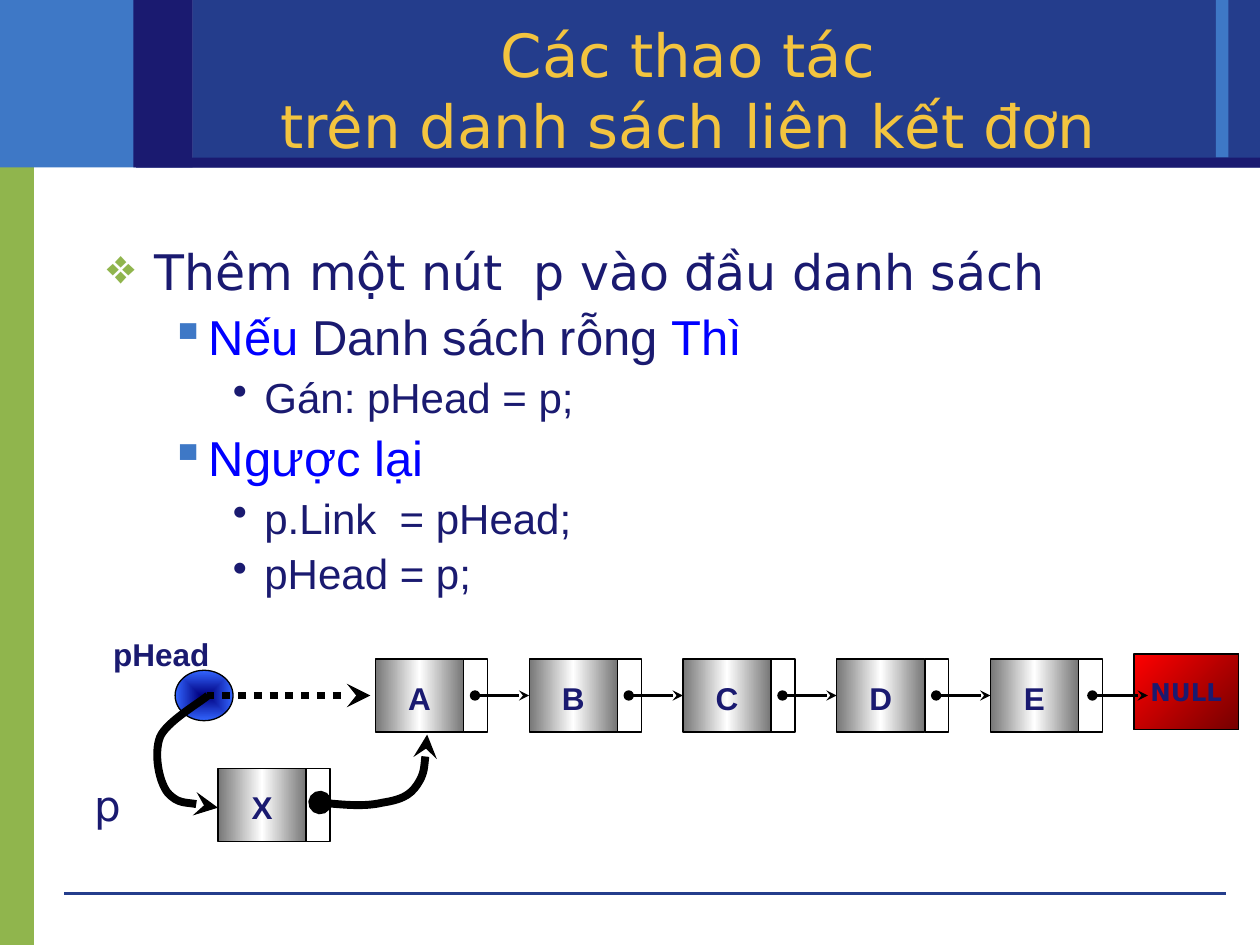
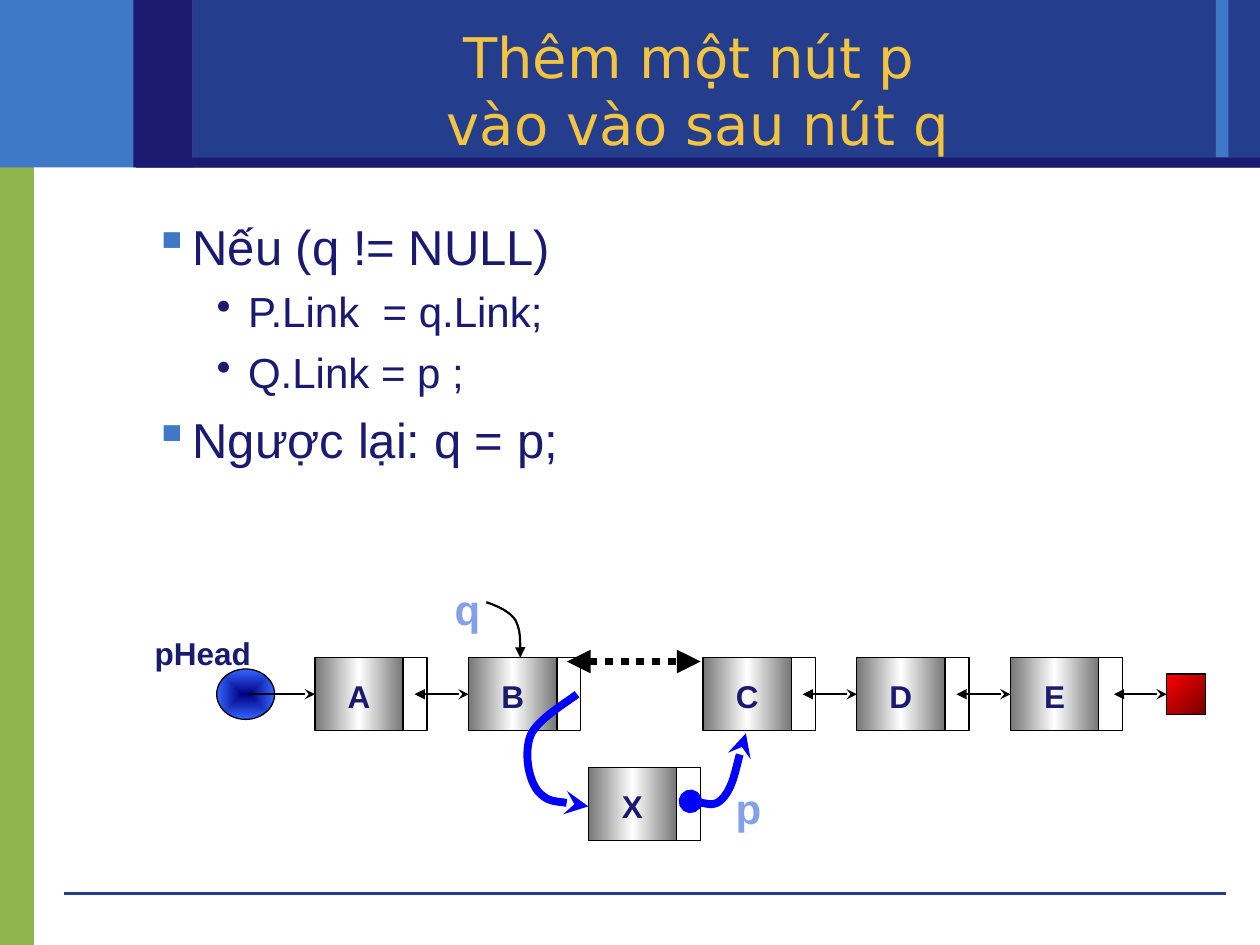
"""Build two slides on inserting a node into a singly linked list."""
from dataclasses import dataclass
from typing import NamedTuple, Optional

from lxml import etree
from pptx import Presentation
from pptx.dml.color import RGBColor
from pptx.enum.dml import MSO_LINE
from pptx.enum.shapes import MSO_CONNECTOR, MSO_SHAPE
from pptx.enum.text import MSO_ANCHOR, PP_ALIGN
from pptx.oxml import parse_xml
from pptx.oxml.ns import nsdecls, qn
from pptx.shapes.autoshape import Shape
from pptx.slide import Slide
from pptx.util import Pt

PX = 9144
RECT, OVAL = MSO_SHAPE.RECTANGLE, MSO_SHAPE.OVAL
STRAIGHT = MSO_CONNECTOR.STRAIGHT
DOTS = MSO_LINE.ROUND_DOT
TOP, MIDDLE = MSO_ANCHOR.TOP, MSO_ANCHOR.MIDDLE
LEFT, CENTER = PP_ALIGN.LEFT, PP_ALIGN.CENTER
LEFT_SIDE = 1

NAVY, BLUE, SKY, GREEN = "1A1A70", "243D8C", "3E78C6", "90B54D"
GOLD, PALE, KEY = "F3C43F", "84A1E8", "0000FF"
BLACK, WHITE = "000000", "FFFFFF"
SANS, ARIAL = "DejaVu Sans", "Arial"

PITCH, NODE_W, CELL_W, NODE_H = 122, 70, 19, 58
MID, PORT = 29, 79
INSET = (10, 5, 10, 5)
NODE_INSET = (0, 3, 0, 0)
BARE = (0, 0, 0, 0)


class Box(NamedTuple):
    left: int
    top: int
    wide: int
    high: int


class Bar(NamedTuple):
    box: Box
    fill: str


class Fade(NamedTuple):
    stops: tuple[tuple[int, str], ...]
    angle: Optional[int]


class Face(NamedTuple):
    font: str
    size: int
    color: str = NAVY
    bold: bool = False


class Pen(NamedTuple):
    color: str = BLACK
    width: float = 1.25
    head: str = "none"
    tail: str = "stealth"
    dash: Optional[MSO_LINE] = None


class Bullet(NamedTuple):
    mark: str
    color: str
    margin: int
    hang: int
    size: int
    space: int


@dataclass
class Item:
    level: int
    runs: list[tuple[str, str]]
    font: str = ARIAL


BARS = (
    Bar(Box(0, 107, 27, 643), GREEN),
    Bar(Box(0, 0, 153, 133), SKY),
    Bar(Box(153, 0, 847, 133), BLUE),
    Bar(Box(965, 0, 10, 125), SKY),
    Bar(Box(108, 125, 892, 8), NAVY),
    Bar(Box(106, 0, 47, 133), NAVY),
)
LEVELS = (
    Bullet("❖", GREEN, 38, 38, 28, 7),
    Bullet("▪", SKY, 81, 31, 28, 7),
    Bullet("•", NAVY, 125, 25, 24, 6),
)
STEEL = Fade(((0, "767676"), (50, WHITE), (100, "767676")), 0)
RUBY = Fade(((0, "FF0000"), (100, "760000")), 45)
GLOBE = Fade(((0, "000080"), (100, "3366FF")), None)
LABEL = Face(ARIAL, 18, bold=True)
TAG = Face(ARIAL, 24, PALE, True)
FOOT = Pen(BLUE, 0, tail="none")


def hue(code: str) -> RGBColor:
    """Turn a hex string into a colour."""
    return RGBColor.from_string(code)


def apply(thing: object, values: dict) -> None:
    """Set each named format value."""
    for name, value in values.items():
        setattr(thing, name, value)


def dress(run, face: Face) -> None:
    """Give a run its face."""
    apply(run.font, {"name": face.font, "size": Pt(face.size), "bold": face.bold})
    run.font.color.rgb = hue(face.color)


def frame(shape: Shape, inset: tuple[int, ...], anchor: MSO_ANCHOR):
    """Set up the text frame of a shape."""
    left, top, right, low = (n * PX for n in inset)
    apply(shape.text_frame, {
        "word_wrap": True, "vertical_anchor": anchor, "margin_left": left,
        "margin_top": top, "margin_right": right, "margin_bottom": low})
    return shape.text_frame


def say(shape: Shape, text: str, face: Face, inset: tuple[int, ...] = BARE,
        anchor: MSO_ANCHOR = MIDDLE, align: PP_ALIGN = CENTER) -> None:
    """Write one paragraph, with line breaks, into a shape."""
    para = frame(shape, inset, anchor).paragraphs[0]
    para.alignment = align
    for n, line in enumerate(text.split("\n")):
        if n:
            para.add_line_break()
        run = para.add_run()
        run.text = line
        dress(run, face)


def area(slide: Slide, box: Box) -> Shape:
    """Add an empty text box."""
    return slide.shapes.add_textbox(*(n * PX for n in box))


def block(slide: Slide, box: Box, fill: str | Fade, edge: bool = True,
          kind: MSO_SHAPE = RECT) -> Shape:
    """Add a filled preset shape."""
    shape = slide.shapes.add_shape(kind, *(n * PX for n in box))
    shape.shadow.inherit = False
    if isinstance(fill, Fade):
        shade(shape, fill)
    else:
        shape.fill.solid()
        shape.fill.fore_color.rgb = hue(fill)
    if edge:
        shape.line.color.rgb = hue(BLACK)
        shape.line.width = Pt(0.75)
    else:
        shape.line.fill.background()
    return shape


def shade(shape: Shape, fade: Fade) -> None:
    """Fill a shape with a linear or centred gradient."""
    shape.fill.gradient()
    stops = "".join(f'<a:gs pos="{pos * 1000}"><a:srgbClr val="{code}"/></a:gs>'
                    for pos, code in fade.stops)
    if fade.angle is None:
        way = ('<a:path path="rect"><a:fillToRect l="50000" t="50000" '
               'r="50000" b="50000"/></a:path>')
    else:
        way = f'<a:lin ang="{fade.angle * 60000}" scaled="0"/>'
    props = shape.element.spPr
    props.replace(props.find(qn("a:gradFill")), parse_xml(
        f'<a:gradFill {nsdecls("a")} rotWithShape="1">'
        f'<a:gsLst>{stops}</a:gsLst>{way}</a:gradFill>'))


def ink(shape, pen: Pen) -> None:
    """Draw a line or curve with a pen."""
    shape.line.color.rgb = hue(pen.color)
    shape.line.width = Pt(pen.width)
    if pen.dash is not None:
        shape.line.dash_style = pen.dash
    edge = shape.element.spPr.find(qn("a:ln"))
    for tag, end in (("a:headEnd", pen.head), ("a:tailEnd", pen.tail)):
        etree.SubElement(edge, qn(tag), type=end)


def link(slide: Slide, start: tuple[int, int], stop: tuple[int, int],
         pen: Pen, goal: Optional[Shape] = None) -> None:
    """Draw a straight line, joined to the goal's left side if given."""
    wire = slide.shapes.add_connector(STRAIGHT, *(n * PX for n in start + stop))
    if goal is not None:
        wire.end_connect(goal, LEFT_SIDE)
    ink(wire, pen)
    etree.SubElement(wire.element.spPr, qn("a:effectLst"))


def curve(slide: Slide, points: list[tuple[int, int]], pen: Pen) -> None:
    """Draw Bezier arcs from a start and three points for each arc."""
    draft = slide.shapes.build_freeform(*points[0], scale=PX)
    draft.add_line_segments(points[1:], close=False)
    shape = draft.convert_to_shape()
    shape.shadow.inherit = False
    shape.fill.background()
    route = next(shape.element.iter(qn("a:path")))
    legs = route.findall(qn("a:lnTo"))
    for n in range(0, len(legs), 3):
        arc = etree.SubElement(route, qn("a:cubicBezTo"))
        for leg in legs[n:n + 3]:
            arc.append(leg[0])
            route.remove(leg)
    ink(shape, pen)


def node(slide: Slide, name: str, left: int, top: int) -> Shape:
    """Draw a list node with its link cell."""
    block(slide, Box(left + NODE_W, top, CELL_W, NODE_H), WHITE)
    shape = block(slide, Box(left, top, NODE_W, NODE_H), STEEL)
    say(shape, name, LABEL, NODE_INSET)
    return shape


def chain(slide: Slide, names: str, left: int, top: int, head: str) -> list[Shape]:
    """Draw evenly spaced nodes, each linked to the next."""
    nodes = [node(slide, name, left + n * PITCH, top) for n, name in enumerate(names)]
    for n, goal in enumerate(nodes[1:]):
        start = left + n * PITCH
        link(slide, (start + PORT, top + MID), (start + PITCH, top + MID),
             Pen(head=head), goal)
    return nodes


def root(slide: Slide, left: int, top: int) -> None:
    """Draw the head pointer and its label."""
    block(slide, Box(left, top, 46, 40), GLOBE, kind=OVAL)
    say(area(slide, Box(left - 56, top - 34, 90, 42)), "pHead", LABEL)


def outline(slide: Slide, box: Box, items: list[Item], pace: float) -> None:
    """Write the bulleted body text."""
    body = frame(area(slide, box), INSET, TOP)
    for n, item in enumerate(items):
        para = body.add_paragraph() if n else body.paragraphs[0]
        look = LEVELS[item.level]
        props = para._p.get_or_add_pPr()
        props.set("marL", str(look.margin * PX))
        props.set("indent", str(-look.hang * PX))
        tint = etree.SubElement(props, qn("a:buClr"))
        etree.SubElement(tint, qn("a:srgbClr"), val=look.color)
        etree.SubElement(props, qn("a:buChar"), char=look.mark)
        apply(para, {"level": item.level, "line_spacing": pace,
                     "space_before": Pt(look.space if n else 0)})
        for text, color in item.runs:
            run = para.add_run()
            run.text = text
            dress(run, Face(item.font, look.size, color))


def base(deck, title: str, wide: int, size: int) -> Slide:
    """Add a slide with the shared bands, footer line and title."""
    slide = deck.slides.add_slide(deck.slide_layouts[6])
    for bar in BARS:
        block(slide, bar.box, bar.fill, edge=False)
    link(slide, (51, 709), (973, 709), FOOT)
    say(area(slide, Box(150, 25, wide, 92)), title, Face(SANS, size, GOLD), INSET)
    return slide


def front(deck) -> None:
    """Build the slide on adding a node at the front."""
    slide = base(deck, "Các thao tác\ntrên danh sách liên kết đơn", 792, 34)
    outline(slide, Box(75, 192, 875, 292), [
        Item(0, [("Thêm một nút  p vào đầu danh sách", NAVY)], SANS),
        Item(1, [("Nếu", KEY), (" Danh sách rỗng ", NAVY), ("Thì", KEY)]),
        Item(2, [("Gán: pHead = p;", NAVY)]),
        Item(1, [("Ngược lại", KEY)]),
        Item(2, [("p.Link  = pHead;", NAVY)]),
        Item(2, [("pHead = p;", NAVY)])], 0.9)
    root(slide, 139, 532)
    null = block(slide, Box(900, 519, 83, 60), RUBY)
    say(null, "NULL", Face(SANS, 14, bold=True), INSET)
    link(slide, (164, 552), (294, 552), Pen(width=4.5, dash=DOTS))
    chain(slide, "ABCDE", 298, 523, "oval")
    link(slide, (867, 552), (911, 552), Pen(head="oval"))
    node(slide, "X", 173, 610)
    curve(slide, [(165, 552), (158, 558), (132, 573), (127, 585), (122, 598),
                  (126, 620), (133, 629), (141, 638), (165, 639), (173, 641)],
          Pen(width=4.5))
    curve(slide, [(254, 637), (273, 639), (291, 640), (304, 637), (317, 635),
                  (325, 632), (331, 623), (337, 614), (338, 598), (339, 583)],
          Pen(width=4.5, head="oval"))
    say(area(slide, Box(65, 614, 50, 50)), "p", Face(SANS, 24), INSET, TOP, LEFT)


def after(deck) -> None:
    """Build the slide on adding a node after node q."""
    slide = base(deck, "Thêm một nút p \nvào vào sau nút q", 808, 32)
    outline(slide, Box(62, 167, 875, 283), [
        Item(1, [("Nếu (q != NULL)", NAVY)]),
        Item(2, [("P.Link  = q.Link;", NAVY)]),
        Item(2, [("Q.Link = p ;", NAVY)]),
        Item(1, [("Ngược lại: q = p;", NAVY)])], 1.0)
    root(slide, 172, 531)
    null = block(slide, Box(926, 535, 31, 32), RUBY)
    first = chain(slide, "AB", 250, 522, "triangle")[0]
    chain(slide, "CDE", 558, 522, "triangle")
    link(slide, (197, 551), (250, 551), Pen(), first)
    link(slide, (884, 551), (926, 551), Pen(head="triangle"), null)
    link(slide, (450, 525), (556, 525), Pen(BLACK, 4.5, "triangle", "triangle", DOTS))
    node(slide, "X", 467, 609)
    curve(slide, [(458, 551), (452, 556), (426, 571), (421, 584), (416, 597),
                  (419, 618), (427, 628), (435, 637), (458, 638), (467, 640)],
          Pen(KEY, 4.5))
    curve(slide, [(548, 636), (552, 636), (568, 641), (575, 632), (582, 623),
                  (588, 593), (592, 582)], Pen(KEY, 4.5, "oval"))
    curve(slide, [(386, 478), (395, 481), (404, 485), (409, 492), (413, 500),
                  (413, 511), (413, 522)], Pen(tail="triangle"))
    for name, left, top in (("q", 344, 459), ("p", 567, 617)):
        say(area(slide, Box(left, top, 54, 48)), name, TAG)


def main() -> None:
    """Build and save the deck."""
    deck = Presentation()
    apply(deck, {"slide_width": 1000 * PX, "slide_height": 750 * PX})
    front(deck)
    after(deck)
    deck.save("out.pptx")


if __name__ == "__main__":
    main()
